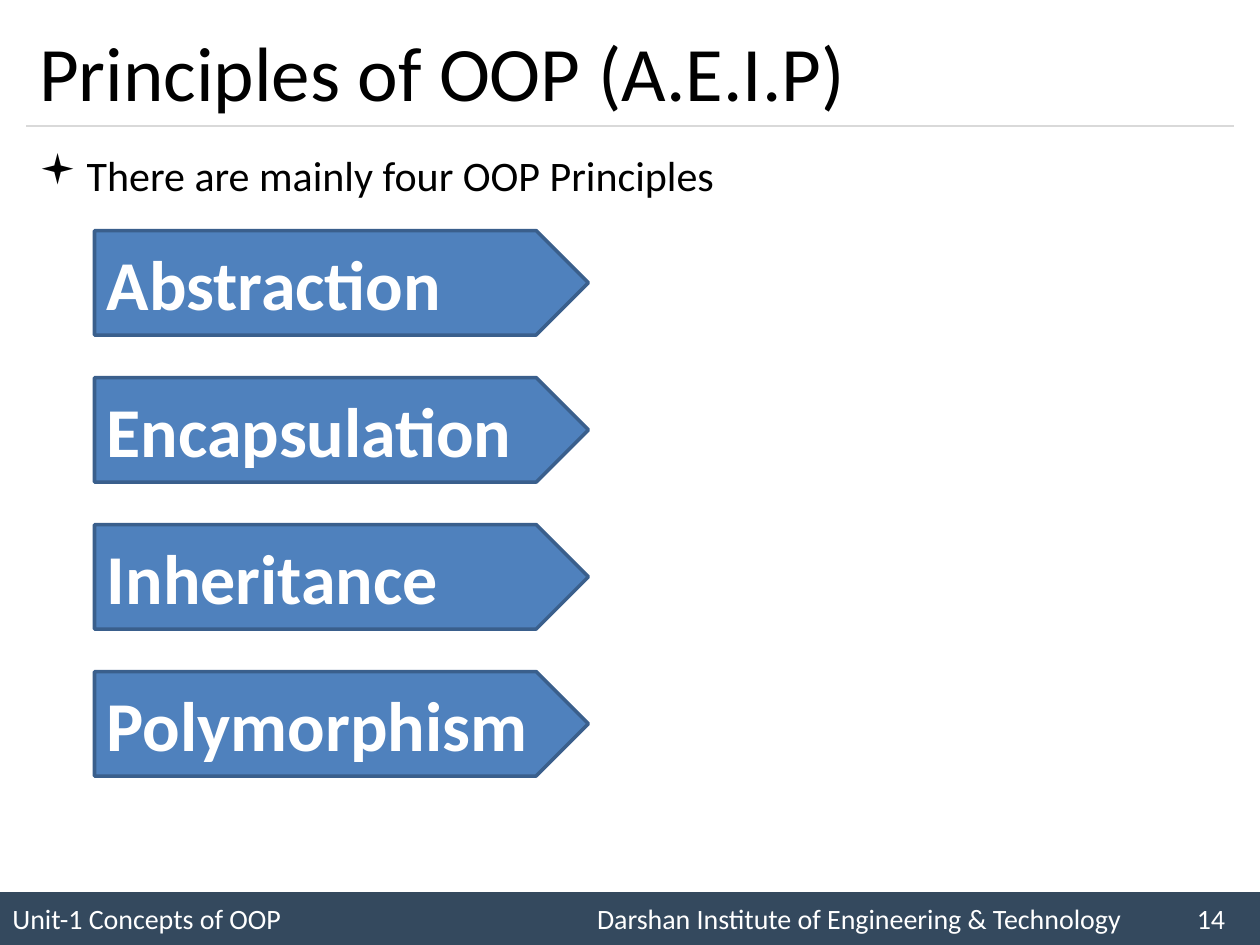
from lxml.etree import SubElement
from pptx import Presentation
from pptx.dml.color import RGBColor as RGB
from pptx.enum.shapes import MSO_CONNECTOR as LINE, MSO_SHAPE as SHAPE
from pptx.enum.text import MSO_ANCHOR as ANCHOR, MSO_AUTO_SIZE as SIZE, PP_ALIGN as ALIGN
from pptx.oxml.ns import qn
from pptx.util import Inches, Pt

BLACK = RGB(0x00, 0x00, 0x00)
WHITE = RGB(0xFF, 0xFF, 0xFF)
SLATE = RGB(0x34, 0x49, 0x5E)
GREY = RGB(0xD9, 0xD9, 0xD9)
BLUE = RGB(0x4F, 0x81, 0xBD)
NAVY = RGB(0x3A, 0x5F, 0x8C)


def style(para, size, color, bold=False):
    para.alignment = ALIGN.LEFT
    for run in para.runs:
        font = run.font
        font.name = "Calibri"
        font.size = Pt(size)
        font.bold = bold
        font.color.rgb = color


def add_box(kind, left, top, width, height, fill):
    box = slide.shapes.add_shape(kind, Inches(left), Inches(top), Inches(width), Inches(height))
    box.shadow.inherit = False
    box.fill.solid()
    box.fill.fore_color.rgb = fill
    box.text_frame.vertical_anchor = ANCHOR.MIDDLE
    return box


deck = Presentation()
deck.slide_width, deck.slide_height = Inches(10), Inches(7.5)
slide = deck.slides.add_slide(deck.slide_layouts[5])

bar = add_box(SHAPE.RECTANGLE, 0, 7.08, 10, 0.42, SLATE)
bar.line.fill.background()
foot = bar.text_frame.paragraphs[0]
foot.text = "Unit-1 Concepts of OOP\tDarshan Institute of Engineering & Technology\t14"
tabs = SubElement(foot._p.get_or_add_pPr(), qn("a:tabLst"))
for stop in (4.64, 9.4):
    SubElement(tabs, qn("a:tab"), pos=str(Inches(stop)), algn="l")
style(foot, 16, WHITE)

rule = slide.shapes.add_connector(LINE.STRAIGHT, Inches(0.21), Inches(1), Inches(9.79), Inches(1))
rule.line.color.rgb = GREY
rule.line.width = Pt(0.75)
SubElement(rule._element.spPr, qn("a:effectLst"))

title = slide.shapes.title
title.left, title.top = Inches(0.21), Inches(0.12)
title.width, title.height = Inches(9.58), Inches(0.88)
frame = title.text_frame
frame.text = "Principles of OOP (A.E.I.P)"
frame.auto_size = SIZE.NONE
frame.vertical_anchor = ANCHOR.MIDDLE
style(frame.paragraphs[0], 44, BLACK)

body = slide.shapes.add_textbox(Inches(0.21), Inches(1.08), Inches(9.58), Inches(0.65))
body.text_frame.word_wrap = True
lead = body.text_frame.paragraphs[0]
lead.text = "There are mainly four OOP Principles"
props = lead._p.get_or_add_pPr()
props.set("marL", str(Inches(0.38)))
props.set("indent", str(Inches(-0.38)))
SubElement(props, qn("a:buFont"), typeface="Wingdings")
SubElement(props, qn("a:buChar"), char="▪")
lead.line_spacing = 1.14
style(lead, 24, BLACK)

names = ["Abstraction", "Encapsulation", "Inheritance", "Polymorphism"]
for row, name in enumerate(names):
    arrow = add_box(SHAPE.PENTAGON, 0.75, 1.83 + row * 3.5 / 3, 3.92, 0.83, BLUE)
    arrow.line.color.rgb = NAVY
    arrow.line.width = Pt(2)
    arrow.text_frame.text = name
    style(arrow.text_frame.paragraphs[0], 40, WHITE, True)

deck.save("out.pptx")
